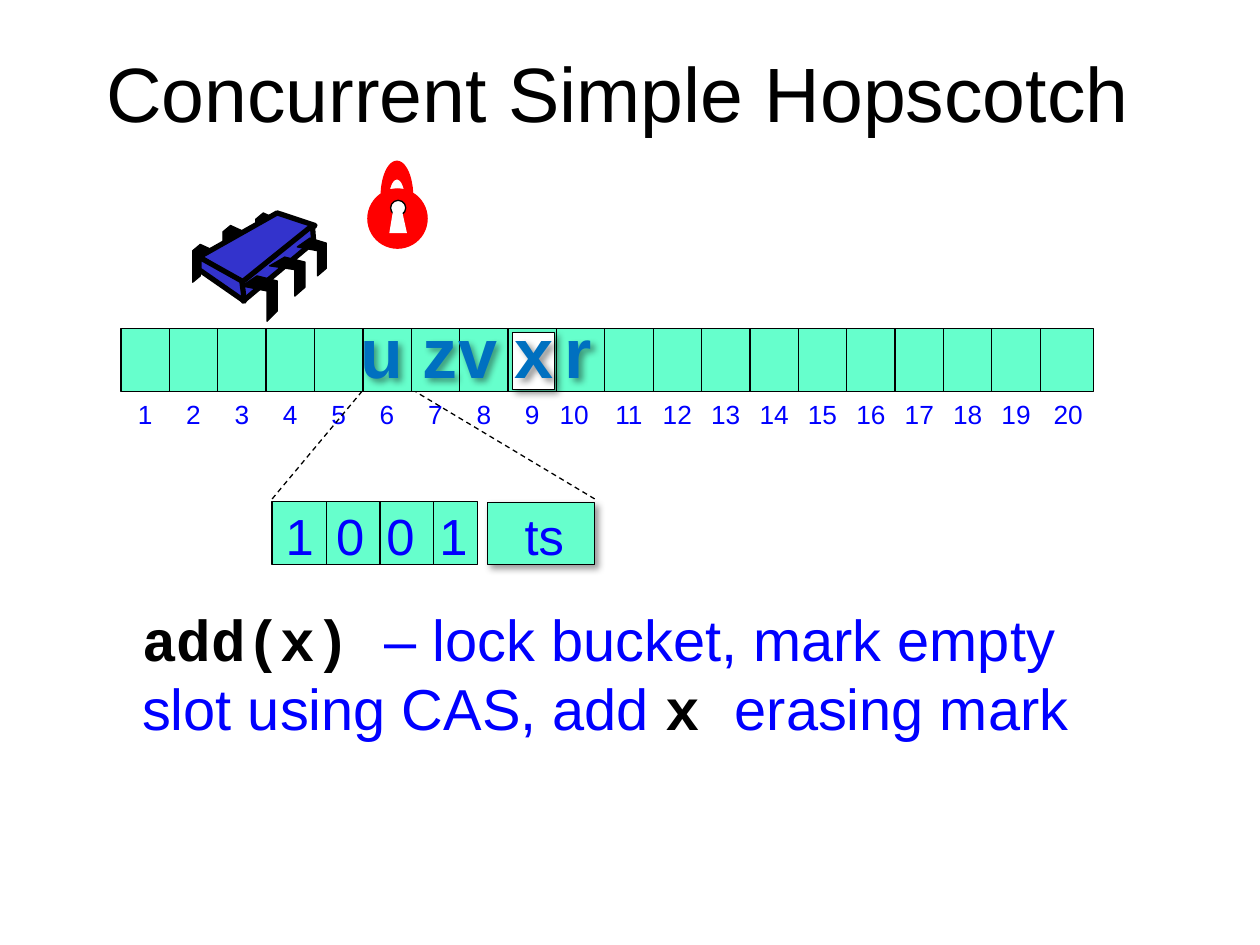
"""Build the slide on concurrent simple hopscotch hashing."""
from math import cos, pi, sin

from lxml import etree
from pptx import Presentation
from pptx import util as u
from pptx.dml.color import RGBColor
from pptx.enum import dml, shapes, text
from pptx.oxml import ns

BLACK, WHITE, RED, MINT = "000000", "FFFFFF", "FF0000", "66FFCC"
BLUE, CHIP, TEAL = "0000FF", "3333CC", "0070C0"

TITLE = "Concurrent Simple Hopscotch"
NOTE = [("add(x) ", True), ("– lock bucket, mark empty slot using CAS, add ", False),
        ("x ", True), ("erasing mark", False)]
KEYS = [("z", 3.49), ("r", 4.59), ("v", 3.79), ("u", 3.03), ("x", 4.24)]
BITS = [("1", 2.38), ("0", 2.78), ("0", 3.18), ("1", 3.6), ("ts", 4.32)]
COUNT, STEP = 20, 0.384
NUDGE = {10: -0.05, 20: 0.03}
ROW = (0.96, 2.61, 7.72, 0.5)
MAP = (2.16, 3.98, 1.63, 0.5)
STAMP = (3.87, 3.99, 0.85, 0.49)
SLOT = (4.07, 2.64, 0.33, 0.45)
ZOOM = [(2.16, 3.96, 2.87, 3.11), (4.72, 3.96, 3.3, 3.11)]

BACK = [(1.53, 1.94, 0.05), (1.77, 1.79, 0.05), (2.03, 1.69, 0.04)]
FACES = [
    [(2.2, 1.69), (1.58, 2.04), (1.93, 2.25), (2.5, 1.79)],
    [(2.48, 1.79), (1.92, 2.24), (1.93, 2.39), (2.49, 1.92)],
    [(1.58, 2.04), (1.58, 2.14), (1.94, 2.39), (1.92, 2.23)],
]
FRONT = [
    [(2.04, 2.19), (1.92, 2.27), (2.12, 2.31), (2.12, 2.55), (2.2, 2.47), (2.2, 2.23)],
    [(2.26, 2.04), (2.14, 2.11), (2.34, 2.14), (2.34, 2.35), (2.42, 2.28), (2.42, 2.08)],
    [(2.46, 1.89), (2.36, 1.96), (2.52, 1.99), (2.52, 2.19), (2.59, 2.13), (2.59, 1.93)],
]
KEYHOLE = [(3.09, 1.85), (3.12, 1.67), (3.19, 1.67), (3.23, 1.85)]

deck = Presentation()
deck.slide_width, deck.slide_height = u.Inches(10), u.Inches(7.5)
page = deck.slides.add_slide(deck.slide_layouts[6]).shapes


def tint(code):
    return RGBColor.from_string(code)


def put(obj, **vals):
    for name, val in vals.items():
        setattr(obj, name, val)


def shade(shape):
    box = etree.SubElement(shape.element.spPr, ns.qn("a:effectLst"))
    cast = etree.SubElement(box, ns.qn("a:outerShdw"), blurRad="50800",
                            dist="38100", dir="2700000", algn="tl", rotWithShape="0")
    hue = etree.SubElement(cast, ns.qn("a:srgbClr"), val=BLACK)
    etree.SubElement(hue, ns.qn("a:alpha"), val="40000")


def paint(shape, fill, edge=BLACK, width=0.75, dark=False):
    shape.fill.solid()
    shape.fill.fore_color.rgb = tint(fill)
    if edge:
        shape.line.color.rgb = tint(edge)
        shape.line.width = u.Pt(width)
    else:
        shape.line.fill.background()
    if dark:
        shade(shape)
    else:
        shape.shadow.inherit = False


def block(kind, spot, *look, **more):
    paint(page.add_shape(kind, *map(u.Inches, spot)), *look, **more)


def rule(x1, y1, x2, y2, dash=False):
    line = page.add_connector(shapes.MSO_CONNECTOR.STRAIGHT,
                              *map(u.Inches, (x1, y1, x2, y2)))
    put(line.line, width=u.Pt(0.75))
    line.line.color.rgb = tint(BLACK)
    if dash:
        line.line.dash_style = dml.MSO_LINE.DASH
    etree.SubElement(line.element.spPr, ns.qn("a:effectLst"))


def shape(pts, *look):
    first, *rest = [(u.Inches(x), u.Inches(y)) for x, y in pts]
    pen = page.build_freeform(*first, scale=1.0)
    pen.add_line_segments(rest, close=True)
    paint(pen.convert_to_shape(), *look)


def write(spot, runs, size, side=0.0, align=text.PP_ALIGN.CENTER,
          anchor=text.MSO_ANCHOR.TOP):
    box = page.add_textbox(*map(u.Inches, spot))
    put(box.text_frame, word_wrap=True, vertical_anchor=anchor,
        margin_left=u.Inches(side), margin_right=u.Inches(side))
    para = box.text_frame.paragraphs[0]
    para.alignment = align
    for words, face, hue, bold in runs:
        run = para.add_run()
        run.text = words
        put(run.font, name=face, size=u.Pt(size), bold=bold)
        run.font.color.rgb = tint(hue)
    return box


def label(words, mid, top, wide, tall, size, hue, bold=False):
    return write((mid - wide / 2, top, wide, tall), [(words, "Arial", hue, bold)], size)


def arc(wide, tall, turn):
    steps = [pi * i / 24 for i in range(25)][::turn]
    return [(3.15 - wide * cos(a), 1.56 - tall * sin(a)) for a in steps]


rect, oval = shapes.MSO_SHAPE.RECTANGLE, shapes.MSO_SHAPE.OVAL
write((0.53, 0.21, 8.75, 1.04), [(TITLE, "Arial", BLACK, False)], 44, 0.1,
      anchor=text.MSO_ANCHOR.MIDDLE)

block(rect, ROW, MINT)
for i in range(1, COUNT + 1):
    x = ROW[0] + STEP * i
    if i < COUNT:
        rule(x, ROW[1], x, ROW[1] + ROW[3])
    label(str(i), x - STEP / 2 + NUDGE.get(i, 0), 3.11, 0.4, 0.35, 15, BLUE)

write((1.03, 4.74, 7.8, 1.81),
      [(words, "Courier New" if code else "Arial", BLACK if code else BLUE, code)
       for words, code in NOTE], 33, 0.1, text.PP_ALIGN.LEFT)

for ends in ZOOM:
    rule(*ends, dash=True)
block(rect, MAP, MINT)
for i in range(3):
    x = 2.59 + 0.425 * i
    rule(x, MAP[1], x, MAP[1] + MAP[3])
block(rect, STAMP, MINT, dark=True)
for words, mid in BITS:
    label(words, mid, 3.96, 0.5, 0.59, 29, BLUE)

block(rect, SLOT, WHITE, dark=True)
for words, mid in KEYS:
    shade(label(words, mid, 2.4, 0.5, 0.77, 40, TEAL, True))

block(oval, (2.92, 1.5, 0.47, 0.47), RED, RED)
block(oval, (3.1, 1.59, 0.12, 0.12), WHITE)
shape(KEYHOLE, WHITE, None)
shape(arc(0.065, 0.14, 1) + arc(0.125, 0.28, -1), RED, RED)

for x, y, drop in BACK:
    low = y + 0.25 + drop
    shape([(x + 0.17, y + 0.05), (x + 0.06, y), (x, y + 0.05), (x, low),
           (x + 0.06, low - 0.05), (x + 0.06, y + 0.1), (x + 0.17, y + 0.15)], BLACK)
for pts in FACES:
    shape(pts, CHIP, BLACK, 3)
for pts in FRONT:
    shape(pts, BLACK)

deck.save("out.pptx")
